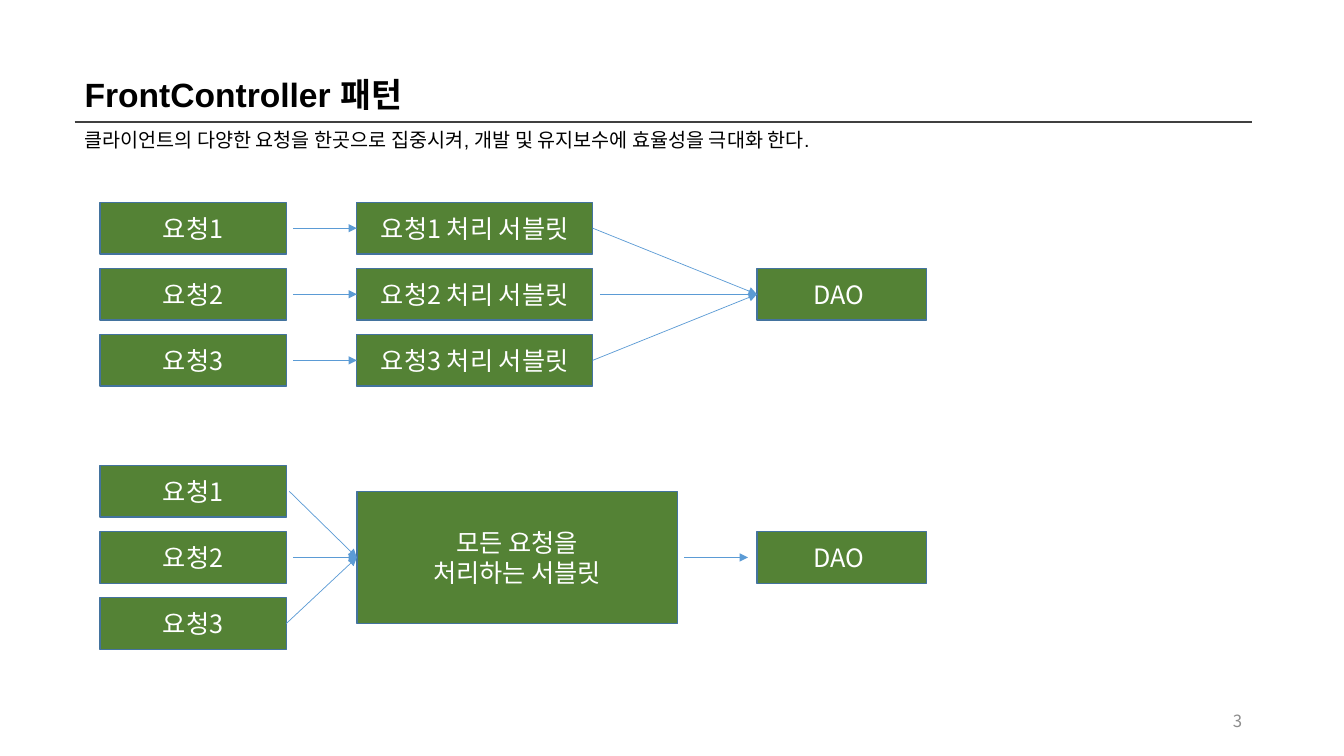
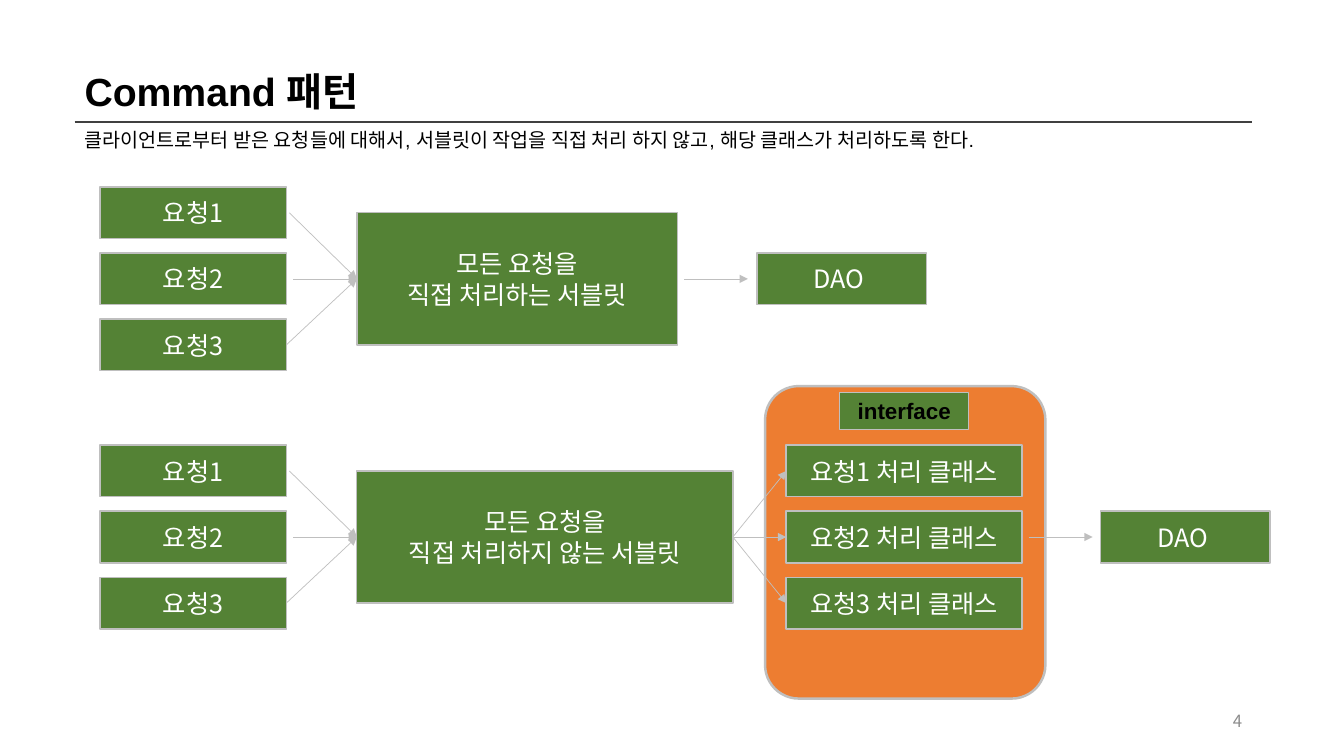
from dataclasses import dataclass

from lxml import etree
from pptx import Presentation
from pptx import util as u
from pptx.dml.color import RGBColor
from pptx.enum import shapes, text
from pptx.oxml import ns
from pptx.shapes.autoshape import Shape
from pptx.slide import Slide
from pptx.text.text import TextFrame

GREEN = RGBColor(0x54, 0x82, 0x35)
ORANGE = RGBColor(0xED, 0x7D, 0x31)
BLUE_EDGE = RGBColor(0x43, 0x73, 0x9E)
BLUE_ARROW = RGBColor(0x5B, 0x9B, 0xD5)
SILVER = RGBColor(0xBF, 0xBF, 0xBF)
RULE_GREY = RGBColor(0x40, 0x40, 0x40)
NUMBER_GREY = RGBColor(0x8C, 0x8C, 0x8C)
BLACK = RGBColor(0, 0, 0)
WHITE = RGBColor(0xFF, 0xFF, 0xFF)

LATIN, KOREAN = "Arial", "Noto Sans CJK KR"
HEADING = {"name": LATIN, "bold": True}
SUMMARY = {"name": LATIN, "size": u.Pt(14)}
NUMBER = {"name": KOREAN, "size": u.Pt(12)}
LABEL = {"name": KOREAN, "size": u.Pt(18)}
TAG = {"name": LATIN, "size": u.Pt(16), "bold": True}

MARGIN, CONTENT_WIDTH = 53.3, 841
RULE_Y, TITLE_BOTTOM = 87.1, 85
ROW_HEIGHT, ROW_PITCH = 36.9, 47.2
REQUEST_X, REQUEST_WIDTH = 71.3, 133.2
SERVLET_X, HANDLER_WIDTH, SERVLET_HEIGHT = 254.9, 168.5, 94.5
DAO_X, DAO_WIDTH = 540.7, 121
ARROW_GAP, ARROW_LENGTH = 5, 45.4
REQUEST_GAPS = (2.2, ARROW_GAP, 0)
HANDLER_GAPS = (0, ARROW_GAP, 0)


@dataclass(frozen=True)
class Page:
    """Heading texts and line colours of one slide."""
    number: int
    title: str
    title_size: int
    summary: str
    edge: RGBColor
    arrow: RGBColor


@dataclass(frozen=True)
class Box:
    """A diagram box, placed by its left edge and vertical centre."""
    label: str
    x: float
    middle: float
    width: float
    height: float = ROW_HEIGHT

    @property
    def right(self) -> float:
        """Right edge."""
        return self.x + self.width


def write(frame: TextFrame, words: str, style: dict, colour: RGBColor,
          align: text.PP_ALIGN, anchor: text.MSO_ANCHOR) -> None:
    """Fill a text frame with formatted paragraphs."""
    frame.word_wrap = True
    frame.vertical_anchor = anchor
    frame.text = words
    for paragraph in frame.paragraphs:
        paragraph.alignment = align
        for run in paragraph.runs:
            for key, value in style.items():
                setattr(run.font, key, value)
            run.font.color.rgb = colour
            east_asian = etree.SubElement(run.font._element, ns.qn("a:ea"))
            east_asian.set("typeface", KOREAN)


def add_text(slide: Slide, words: str, x: float, y: float, width: float, height: float,
             style: dict, colour: RGBColor = BLACK, align=text.PP_ALIGN.LEFT,
             anchor=text.MSO_ANCHOR.TOP) -> None:
    """Add a text box."""
    area = slide.shapes.add_textbox(*map(u.Pt, (x, y, width, height)))
    write(area.text_frame, words, style, colour, align, anchor)


def add_line(slide: Slide, start: tuple[float, float], end: tuple[float, float],
             colour: RGBColor, weight: float = 0.5, arrow: bool = True) -> None:
    """Draw a straight line, with an arrowhead at its end if wanted."""
    line = slide.shapes.add_connector(
        shapes.MSO_CONNECTOR.STRAIGHT, *map(u.Pt, (*start, *end)))
    line.line.color.rgb = colour
    line.line.width = u.Pt(weight)
    properties = line._element.spPr
    if arrow:
        head = etree.SubElement(properties.find(ns.qn("a:ln")), ns.qn("a:tailEnd"))
        head.set("type", "triangle")
    etree.SubElement(properties, ns.qn("a:effectLst"))


def add_panel(slide: Slide, kind: shapes.MSO_SHAPE, box: Box, fill: RGBColor,
              edge: RGBColor, weight: float = 1) -> Shape:
    """Draw a filled and outlined shape without a shadow."""
    panel = slide.shapes.add_shape(kind, *map(
        u.Pt, (box.x, box.middle - box.height / 2, box.width, box.height)))
    panel.shadow.inherit = False
    panel.fill.solid()
    panel.fill.fore_color.rgb = fill
    panel.line.color.rgb = edge
    panel.line.width = u.Pt(weight)
    return panel


def add_box(slide: Slide, page: Page, box: Box, style: dict = LABEL,
            colour: RGBColor = WHITE, weight: float = 1) -> Box:
    """Draw a labelled green box."""
    panel = add_panel(slide, shapes.MSO_SHAPE.RECTANGLE, box, GREEN, page.edge, weight)
    write(panel.text_frame, box.label, style, colour,
          text.PP_ALIGN.CENTER, text.MSO_ANCHOR.MIDDLE)
    return box


def add_stack(slide: Slide, page: Page, suffix: str, x: float, middle: float,
              width: float) -> list[Box]:
    """Draw the boxes for requests 1 to 3 around a middle line."""
    return [add_box(slide, page, Box(f"요청{row}{suffix}", x,
                                     middle + (row - 2) * ROW_PITCH, width))
            for row in (1, 2, 3)]


def join(slide: Slide, page: Page, source: Box, target: Box, gap: float = 0) -> None:
    """Draw an arrow from the right of one box to the left of another."""
    add_line(slide, (source.right + gap, source.middle), (target.x, target.middle), page.arrow)


def add_dao(slide: Slide, page: Page, x: float, middle: float) -> Box:
    """Draw the data access box."""
    return add_box(slide, page, Box("DAO ", x, middle, DAO_WIDTH))


def add_exit(slide: Slide, page: Page, source: Box) -> None:
    """Draw the short arrow that leaves a box."""
    start = source.right + ARROW_GAP
    add_line(slide, (start, source.middle), (start + ARROW_LENGTH, source.middle), page.arrow)


def add_front(slide: Slide, page: Page, label: str, middle: float, width: float) -> Box:
    """Draw three requests that meet in one servlet."""
    requests = add_stack(slide, page, "", REQUEST_X, middle, REQUEST_WIDTH)
    servlet = add_box(slide, page, Box(label, SERVLET_X, middle, width, SERVLET_HEIGHT))
    for request, gap in zip(requests, REQUEST_GAPS):
        join(slide, page, request, servlet, gap)
    return servlet


def add_page(deck: Presentation, page: Page) -> Slide:
    """Add a slide with title, rule, summary and number."""
    slide = deck.slides.add_slide(deck.slide_layouts[6])
    height = page.title_size * 1.2 + 7.2
    add_text(slide, page.title, MARGIN, TITLE_BOTTOM - height, CONTENT_WIDTH, height,
             HEADING | {"size": u.Pt(page.title_size)})
    add_line(slide, (MARGIN, RULE_Y), (MARGIN + CONTENT_WIDTH, RULE_Y), RULE_GREY, 1, False)
    add_text(slide, page.summary, MARGIN, 87.8, CONTENT_WIDTH, 24.5, SUMMARY)
    add_text(slide, str(page.number), 678.3, 500.5, 216, 28.8, NUMBER, NUMBER_GREY,
             text.PP_ALIGN.RIGHT, text.MSO_ANCHOR.MIDDLE)
    return slide


def build_front_controller(deck: Presentation) -> None:
    """Compare one servlet per request with one shared servlet."""
    page = Page(3, "FrontController 패턴", 24,
                "클라이언트의 다양한 요청을 한곳으로 집중시켜, 개발 및 유지보수에 효율성을 극대화 한다.",
                BLUE_EDGE, BLUE_ARROW)
    slide = add_page(deck, page)
    separate, shared = 210.2, 398.2
    requests = add_stack(slide, page, "", REQUEST_X, separate, REQUEST_WIDTH)
    servlets = add_stack(slide, page, " 처리 서블릿", SERVLET_X, separate, HANDLER_WIDTH)
    dao = add_dao(slide, page, DAO_X, separate)
    for request, servlet, gap in zip(requests, servlets, HANDLER_GAPS):
        join(slide, page, request, servlet, ARROW_GAP)
        join(slide, page, servlet, dao, gap)

    add_exit(slide, page, add_front(slide, page, "모든 요청을\n처리하는 서블릿", shared, 229))
    add_dao(slide, page, DAO_X, shared)


def build_command(deck: Presentation) -> None:
    """Compare a servlet that does the work with one that delegates it."""
    page = Page(4, "Command 패턴", 28,
                "클라이언트로부터 받은 요청들에 대해서, 서블릿이 작업을 직접 처리 하지 않고, "
                "해당 클래스가 처리하도록 한다.", SILVER, SILVER)
    slide = add_page(deck, page)
    direct, delegated = 199.2, 383.6
    add_exit(slide, page, add_front(slide, page, "모든 요청을\n직접 처리하는 서블릿", direct, 229))
    add_dao(slide, page, DAO_X, direct)

    interface = add_panel(slide, shapes.MSO_SHAPE.ROUNDED_RECTANGLE,
                          Box("", 546.5, 387.4, 200.2, 223.2), ORANGE, page.edge, 1.75)
    interface.adjustments[0] = 0.12
    add_box(slide, page, Box("interface", 599.8, 293.4, 92.2, 26.6), TAG, BLACK, 0.75)
    servlet = add_front(slide, page, "모든 요청을\n직접 처리하지 않는 서블릿", delegated, 268.6)
    commands = add_stack(slide, page, " 처리 클래스", 561.6, delegated, HANDLER_WIDTH)
    for command in commands:
        join(slide, page, servlet, command)
    add_exit(slide, page, commands[1])
    add_dao(slide, page, 786.2, delegated)


def main() -> None:
    """Build and save the deck."""
    deck = Presentation()
    deck.slide_width, deck.slide_height = u.Pt(960), u.Pt(540)
    build_front_controller(deck)
    build_command(deck)
    deck.save("out.pptx")


main()
